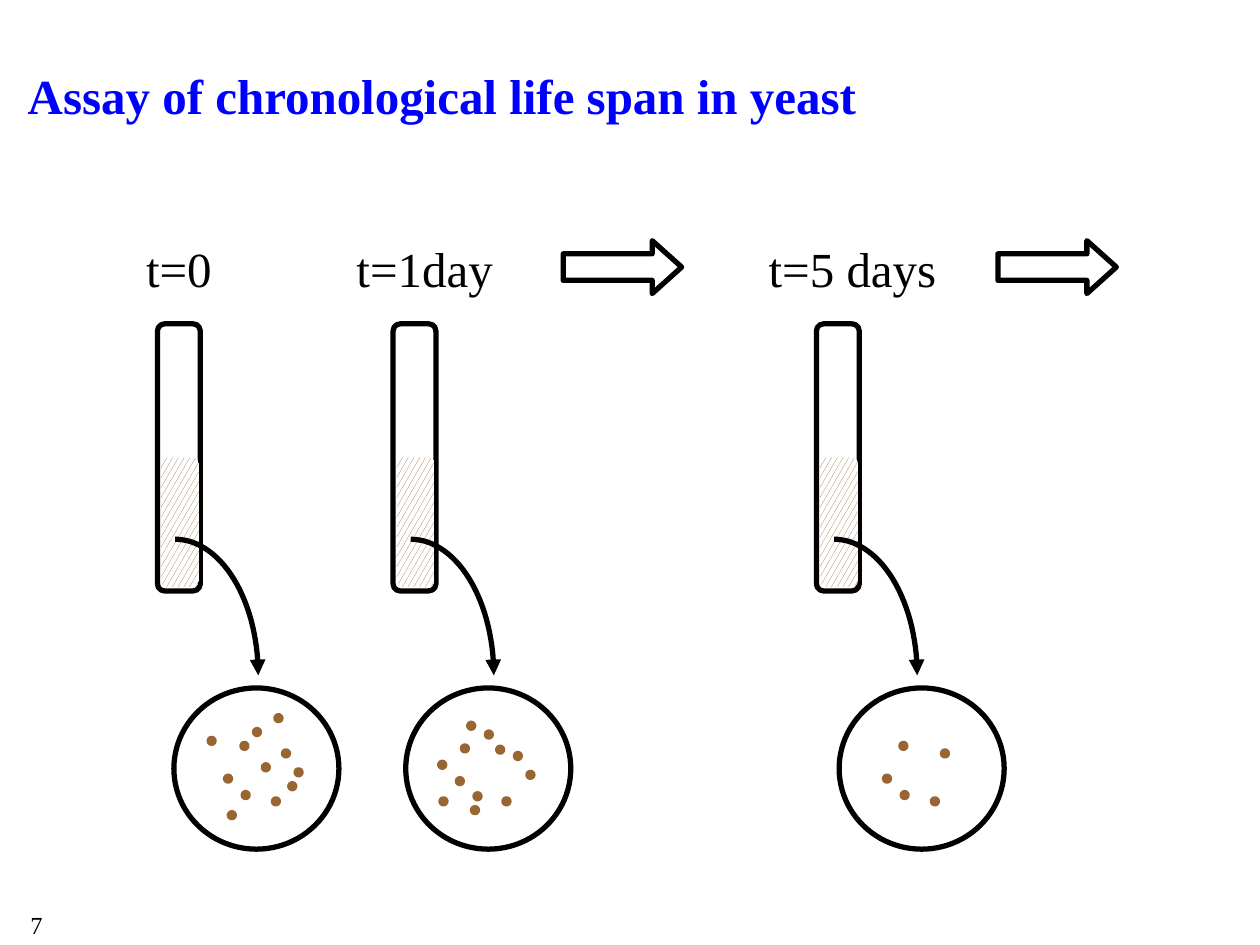
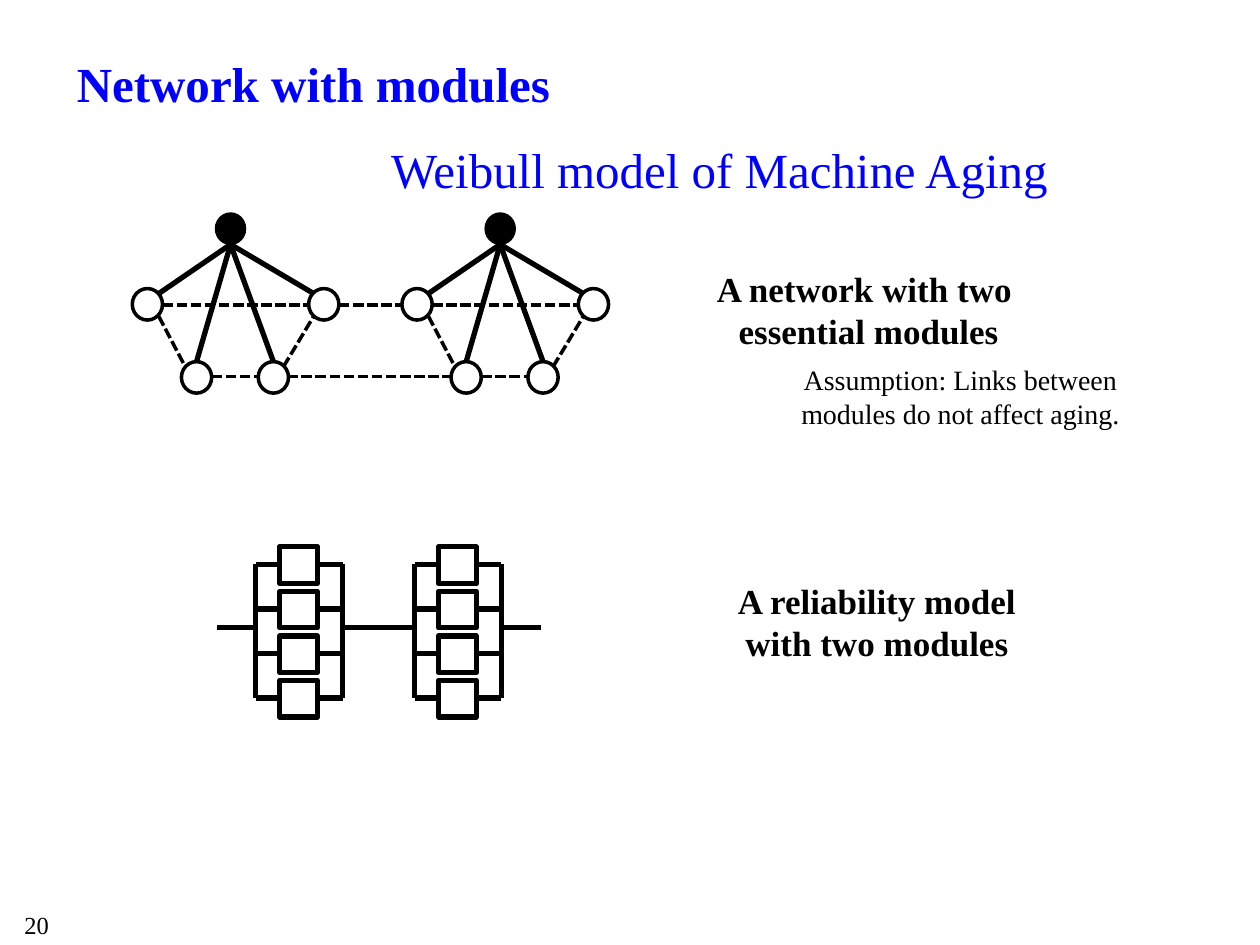
import math
import pptx
import pptx.util
import pptx.dml.color
import pptx.enum.dml
import pptx.enum.shapes
import pptx.enum.text
import pptx.oxml
import pptx.oxml.ns

Inches = pptx.util.Inches
Pt = pptx.util.Pt
RGBColor = pptx.dml.color.RGBColor
SHAPES = pptx.enum.shapes.MSO_SHAPE
DASH = pptx.enum.dml.MSO_LINE.SQUARE_DOT
ALIGN = pptx.enum.text.PP_ALIGN
ANCHOR = pptx.enum.text.MSO_ANCHOR
AUTO_SIZE = pptx.enum.text.MSO_AUTO_SIZE

BLACK = RGBColor(0, 0, 0)
WHITE = RGBColor(255, 255, 255)
BLUE = RGBColor(0, 0, 255)
BROWN = RGBColor(0x99, 0x66, 0x33)

FONT = "Times New Roman"
TITLE = {"name": FONT, "size": Pt(28), "bold": True}
LABEL = {"name": FONT, "size": Pt(28), "bold": False}
CAPTION = {"name": FONT, "size": Pt(20), "bold": True}
NOTE = {"name": FONT, "size": Pt(16), "bold": False}
NUMBER = {"name": FONT, "size": Pt(14), "bold": False}

# Tube left, plate left, label text, label left and width, colonies in the plate
SAMPLES = [
    (1.25, 1.38, "t=0", 1.0, 0.84,
     [(0.64, 0.33), (0.55, 0.83), (0.28, 0.40), (0.92, 0.76), (0.54, 0.44), (0.87, 0.50),
      (0.79, 0.88), (0.81, 0.22), (0.41, 0.70), (0.71, 0.61), (0.97, 0.65), (0.44, 0.99)]),
    (3.12, 3.22, "t=1day", 2.53, 1.68,
     [(0.64, 0.35), (0.55, 0.84), (0.50, 0.28), (0.78, 0.88), (0.45, 0.46), (0.87, 0.52),
      (0.28, 0.88), (0.27, 0.59), (0.41, 0.72), (0.73, 0.47), (0.97, 0.67), (0.53, 0.95)]),
    (6.48, 6.66, "t=5 days", 5.82, 1.89,
     [(0.50, 0.83), (0.49, 0.44), (0.82, 0.50), (0.74, 0.88), (0.36, 0.70)]),
]


# Shared helpers
def format_text(frame, lines, style, colour, align):
    for index, line in enumerate(lines):
        para = frame.paragraphs[0] if index == 0 else frame.add_paragraph()
        para.alignment = align
        span = para.add_run()
        span.text = line
        span.font.color.rgb = colour
        for key, value in style.items():
            setattr(span.font, key, value)


def add_text(page, box, lines, style, colour=BLACK, wrap=True):
    frame = page.shapes.add_textbox(*map(Inches, box)).text_frame
    frame.word_wrap = wrap
    format_text(frame, lines, style, colour, ALIGN.CENTER)


def add_outline(parent, kind, box, width=3, fill=WHITE, line=BLACK):
    shape = parent.shapes.add_shape(kind, *map(Inches, box))
    shape.shadow.inherit = False
    if fill is None:
        shape.fill.background()
    else:
        shape.fill.solid()
        shape.fill.fore_color.rgb = fill
    shape.line.color.rgb = line
    shape.line.width = Pt(width)
    return shape


def add_line(parent, start, end, width=3, dash=None):
    line = parent.shapes.add_connector(
        pptx.enum.shapes.MSO_CONNECTOR.STRAIGHT, *map(Inches, (*start, *end)))
    line.line.color.rgb = BLACK
    line.line.width = Pt(width)
    if dash:
        line.line.dash_style = dash
    line._element.spPr.append(pptx.oxml.parse_xml(
        "<a:effectLst %s/>" % pptx.oxml.ns.nsdecls("a")))


def add_page(deck, title, box, number, bottom_margin=0.05):
    page = deck.slides.add_slide(deck.slide_layouts.get_by_name("Title Only"))
    heading = page.shapes.title
    for key, value in zip(("left", "top", "width", "height"), box):
        setattr(heading, key, Inches(value))
    frame = heading.text_frame
    settings = {"auto_size": AUTO_SIZE.NONE, "word_wrap": True,
                "vertical_anchor": ANCHOR.MIDDLE, "margin_bottom": Inches(bottom_margin)}
    for key, value in settings.items():
        setattr(frame, key, value)
    format_text(frame, [title], TITLE, BLUE, ALIGN.LEFT)
    add_text(page, (0, 7.17, 0.58, 0.33), [number], NUMBER)
    return page


# Parts of the assay
def draw_tube(page, left, top):
    tube = page.shapes.add_group_shape()
    add_outline(tube, SHAPES.ROUNDED_RECTANGLE, (left, top, 0.34, 2.12))
    culture = add_outline(tube, SHAPES.ROUNDED_RECTANGLE,
                          (left + 0.03, top + 1.06, 0.3, 1.03))
    culture.fill.patterned()
    culture.fill.pattern = pptx.enum.dml.MSO_PATTERN.LARGE_CONFETTI
    culture.fill.fore_color.rgb = BROWN
    culture.fill.back_color.rgb = WHITE
    culture.line.fill.background()


def draw_plate(page, left, top, colonies):
    plate = page.shapes.add_group_shape()
    add_outline(plate, SHAPES.OVAL, (left, top, 1.31, 1.28))
    for x, y in colonies:
        add_outline(plate, SHAPES.OVAL, (left + x, top + y, 0.04, 0.04),
                    fill=BROWN, line=BROWN)


def draw_transfer_arrow(page, left, top, width=0.66, height=1.08, steps=30):
    angles = [math.pi / 2 * step / steps for step in range(steps + 1)]
    points = [(Inches(left + width * math.sin(angle)),
               Inches(top + height * (1 - math.cos(angle)))) for angle in angles]
    builder = page.shapes.build_freeform(*points[0])
    builder.add_line_segments(points[1:], close=False)
    curve = builder.convert_to_shape()
    curve.shadow.inherit = False
    curve.fill.background()
    curve.line.color.rgb = BLACK
    curve.line.width = Pt(3)
    curve.line._get_or_add_ln().append(pptx.oxml.parse_xml(
        '<a:tailEnd %s type="triangle"/>' % pptx.oxml.ns.nsdecls("a")))


def build_assay(deck):
    page = add_page(deck, "Assay of chronological life span in yeast",
                    (0.12, 0.13, 9.77, 1.25), "7")
    for tube_left, plate_left, label, label_left, label_width, colonies in SAMPLES:
        draw_tube(page, tube_left, 2.57)
        add_text(page, (label_left, 1.84, label_width, 0.57), [label], LABEL)
        draw_plate(page, plate_left, 5.46, colonies)
        draw_transfer_arrow(page, tube_left + 0.14, 4.28)
    for left in (4.47, 7.92):
        arrow = add_outline(page, SHAPES.RIGHT_ARROW, (left, 1.91, 0.94, 0.42))
        arrow.adjustments[1] = 0.556


# Parts of the module diagrams
def draw_network_module(group, left, top):
    add_outline(group, SHAPES.OVAL, (left + 0.66, top, 0.24, 0.25), 0.75, BLACK)
    for x, y in ((1.0, 1.18), (0.39, 1.18), (0, 0.6), (1.4, 0.6)):
        add_outline(group, SHAPES.OVAL, (left + x, top + y, 0.24, 0.25), 2, None)
    for x, y in ((0.21, 0.64), (0.51, 1.18), (1.12, 1.18), (1.44, 0.64)):
        add_line(group, (left + 0.78, top + 0.25), (left + x, top + y))
    for x1, y1, x2, y2 in ((1.2, 1.22, 1.44, 0.82), (0.63, 1.3, 1.0, 1.3),
                           (0.24, 0.73, 1.4, 0.73), (0.21, 0.82, 0.42, 1.22)):
        add_line(group, (left + x1, top + y1), (left + x2, top + y2), 2, DASH)


def draw_network(page, left, top, pitch=2.14):
    group = page.shapes.add_group_shape()
    for index in range(2):
        draw_network_module(group, left + index * pitch, top)
    # Links between the two modules
    for x1, x2, y in ((1.64, pitch, 0.73), (1.23, pitch + 0.39, 1.3)):
        add_line(group, (left + x1, top + y), (left + x2, top + y), 2, DASH)


def draw_parallel_module(group, left, top, rows=4, height=1.06):
    rails = (left + 0.31, left + 1.0)
    middle = top + 0.64
    add_line(group, (left, middle), (rails[0], middle))
    for row in range(rows):
        y = top + 0.14 + row * height / (rows - 1)
        add_line(group, (rails[0], y), (rails[1], y))
        add_outline(group, SHAPES.RECTANGLE, (left + 0.5, y - 0.14, 0.3, 0.29))
    for x in rails:
        add_line(group, (x, top + 0.14), (x, top + 0.14 + height))
    add_line(group, (rails[1], middle), (left + 1.31, middle))


def draw_reliability_model(page, left, top, pitch=1.26):
    group = page.shapes.add_group_shape()
    for index in range(2):
        draw_parallel_module(group, left + index * pitch, top)


def build_modules(deck):
    page = add_page(deck, "Network with modules", (0.51, 0.26, 8.5, 1.25), "20", 0.5)
    add_text(page, (5.58, 2.07, 2.63, 0.77),
             ["A network with two ", "essential modules"], CAPTION, wrap=False)
    add_text(page, (5.75, 4.55, 2.42, 0.77),
             ["A reliability model", "with two modules"], CAPTION, wrap=False)
    draw_network(page, 1.05, 1.69)
    draw_reliability_model(page, 1.72, 4.34)
    add_text(page, (6.24, 2.83, 2.82, 0.64),
             ["Assumption: Links between ", "modules do not affect aging. "], NOTE, wrap=False)
    add_text(page, (2.52, 1.06, 6.38, 0.57), ["Weibull model of Machine Aging"], LABEL, BLUE)


def main():
    deck = pptx.Presentation()
    deck.slide_width = Inches(10)
    deck.slide_height = Inches(7.5)
    build_assay(deck)
    build_modules(deck)
    deck.save("out.pptx")


if __name__ == "__main__":
    main()
